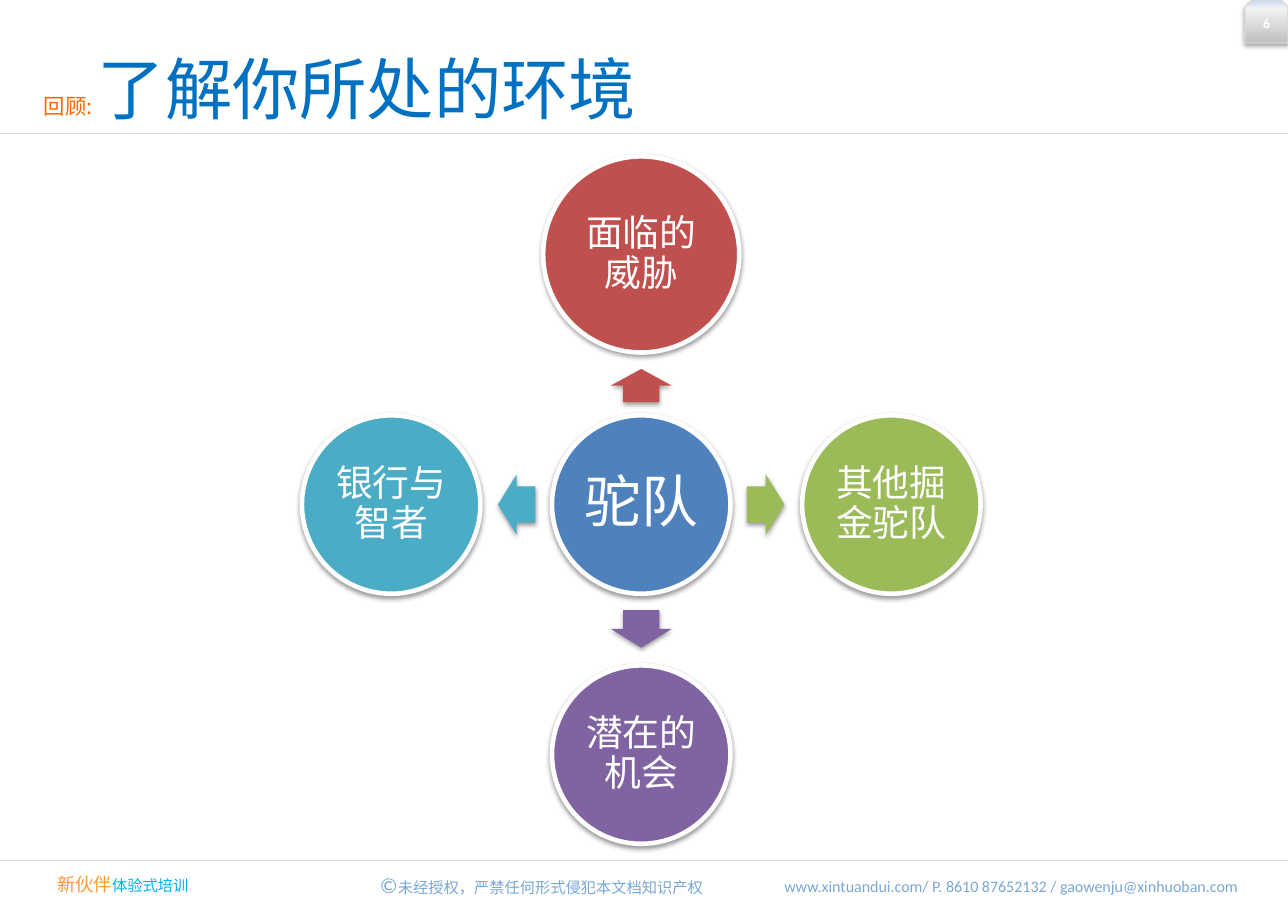
from lxml import etree
from pptx import Presentation
from pptx.dml.color import RGBColor
from pptx.enum.shapes import MSO_CONNECTOR, MSO_SHAPE
from pptx.enum.text import MSO_ANCHOR, PP_ALIGN
from pptx.oxml import parse_xml
from pptx.oxml.ns import nsdecls, qn
from pptx.util import Inches, Pt

WHITE = RGBColor(0xFF, 0xFF, 0xFF)
BLUE = RGBColor(0x4F, 0x81, 0xBD)
RED = RGBColor(0xC0, 0x50, 0x4D)
GREEN = RGBColor(0x9B, 0xBB, 0x59)
PURPLE = RGBColor(0x80, 0x64, 0xA2)
TEAL = RGBColor(0x4B, 0xAC, 0xC6)
RULE_GREY = RGBColor(0xD9, 0xD9, 0xD9)
TAB_DARK = RGBColor(0xBF, 0xBF, 0xBF)
TAB_LIGHT = RGBColor(0xF2, 0xF2, 0xF2)
TAB_BLUE = RGBColor(0xC6, 0xD9, 0xF1)
FOOTER_BLUE = RGBColor(0x7A, 0xA7, 0xD4)
FOOTER_ORANGE = RGBColor(0xFF, 0x99, 0x33)
FOOTER_CYAN = RGBColor(0x00, 0xB0, 0xF0)
TITLE_BLUE = RGBColor(0x00, 0x70, 0xC0)
TITLE_ORANGE = RGBColor(0xFF, 0x66, 0x00)
SANS_SC, SANS_JP, LATIN = "Noto Sans CJK SC", "Noto Sans CJK JP", "Calibri"


def add_run(paragraph, text, size, font_name, color):
    run = paragraph.add_run()
    run.text = text
    run.font.size = Pt(size)
    run.font.color.rgb = color
    run.font.name = font_name
    east_asian = etree.SubElement(run.font._element, qn("a:ea"))
    east_asian.set("typeface", font_name)
    return run


def add_shadow(shape):
    """Give the shape a soft shadow that falls straight down."""
    shape._element.spPr.append(parse_xml(
        f'<a:effectLst {nsdecls("a")}><a:outerShdw blurRad="40000" dist="20000" '
        'dir="5400000" rotWithShape="0"><a:srgbClr val="000000">'
        '<a:alpha val="38000"/></a:srgbClr></a:outerShdw></a:effectLst>'))


presentation = Presentation()
presentation.slide_width = Inches(11.69)
presentation.slide_height = Inches(8.27)
slide = presentation.slides.add_slide(presentation.slide_layouts[6])
shapes = slide.shapes

# Rules under the title and above the footer
for rule_y in (1.21, 7.81):
    rule = shapes.add_connector(
        MSO_CONNECTOR.STRAIGHT, 0, Inches(rule_y), Inches(11.69), Inches(rule_y))
    rule.line.color.rgb = RULE_GREY
    rule.line.width = Pt(0.75)
    etree.SubElement(rule._element.spPr, qn("a:effectLst"))

# Title and footer
text_boxes = [
    (0.3, 0.38, 10.31, 0.84, MSO_ANCHOR.TOP,
     [("回顾: ", 14, SANS_SC, TITLE_ORANGE),
      ("了解你所处的环境", 44, SANS_JP, TITLE_BLUE)]),
    (0.42, 7.88, 2.11, 0.37, MSO_ANCHOR.TOP,
     [("新伙伴", 12, SANS_JP, FOOTER_ORANGE),
      ("体验式培训", 10, LATIN, FOOTER_CYAN)]),
    (3.35, 7.86, 3.36, 0.34, MSO_ANCHOR.MIDDLE,
     [("©", 14, LATIN, FOOTER_BLUE),
      ("未经授权，严禁任何形式侵犯本文档知识产权", 10, LATIN, FOOTER_BLUE)]),
    (7.02, 7.87, 4.45, 0.34, MSO_ANCHOR.MIDDLE,
     [("www.xintuandui.com/ P. 8610 87652132 / gaowenju@xinhuoban.com",
       10.5, LATIN, FOOTER_BLUE)]),
]
for left, top, width, height, anchor, runs in text_boxes:
    box = shapes.add_textbox(Inches(left), Inches(top), Inches(width), Inches(height))
    box.text_frame.word_wrap = True
    box.text_frame.vertical_anchor = anchor
    for run_values in runs:
        add_run(box.text_frame.paragraphs[0], *run_values)

# Page number tab
page_tab = shapes.add_shape(
    MSO_SHAPE.SNIP_2_SAME_RECTANGLE, Inches(11.3), 0, Inches(0.39), Inches(0.39))
page_tab.fill.gradient()
page_tab.fill.gradient_angle = 90
stop_list = page_tab._element.spPr.find(qn("a:gradFill")).find(qn("a:gsLst"))
for stop in list(stop_list):
    stop_list.remove(stop)
for position, color in ((0, TAB_DARK), (80, TAB_LIGHT), (100, TAB_BLUE)):
    stop = etree.SubElement(stop_list, qn("a:gs"), pos=str(position * 1000))
    etree.SubElement(stop, qn("a:srgbClr"), val=str(color))
page_tab.line.color.rgb = RULE_GREY
page_tab.line.width = Pt(0.75)
add_shadow(page_tab)
page_tab.text_frame.vertical_anchor = MSO_ANCHOR.MIDDLE
page_number = page_tab.text_frame.paragraphs[0]
page_number.alignment = PP_ALIGN.CENTER
add_run(page_number, "6", 9, LATIN, WHITE).font.bold = True

# Hub with four circles around it
HUB_X, HUB_Y, SPOKE = 5.82, 4.58, 2.27
circles = [
    ("驼队", 0, 0, 1.62, 37, 0.05, BLUE),
    ("面临的威胁", 0, -1, 1.78, 24, 0.03, RED),
    ("其他掘金驼队", 1, 0, 1.62, 24, 0.03, GREEN),
    ("潜在的机会", 0, 1, 1.62, 24, 0.03, PURPLE),
    ("银行与智者", -1, 0, 1.62, 24, 0.03, TEAL),
]
for label, step_x, step_y, diameter, size, margin, color in circles:
    circle = shapes.add_shape(
        MSO_SHAPE.OVAL,
        Inches(HUB_X + step_x * SPOKE - diameter / 2),
        Inches(HUB_Y + step_y * SPOKE - diameter / 2),
        Inches(diameter), Inches(diameter))
    circle.fill.solid()
    circle.fill.fore_color.rgb = color
    circle.line.color.rgb = WHITE
    circle.line.width = Pt(3)
    add_shadow(circle)
    frame = circle.text_frame
    frame.word_wrap = True
    frame.vertical_anchor = MSO_ANCHOR.MIDDLE
    frame.margin_left = frame.margin_right = Inches(margin)
    frame.margin_top = frame.margin_bottom = Inches(margin)
    paragraph = frame.paragraphs[0]
    paragraph.alignment = PP_ALIGN.CENTER
    paragraph.line_spacing = 0.9
    add_run(paragraph, label, size, SANS_SC, WHITE)

# Arrows from the hub: direction, rotation, distance from the hub, length
ARROW_WIDTH = 0.55
arrows = [
    (0, -1, 270, 1.08, 0.3, RED),
    (1, 0, 0, 1.13, 0.34, GREEN),
    (0, 1, 90, 1.13, 0.34, PURPLE),
    (-1, 0, 180, 1.13, 0.34, TEAL),
]
for step_x, step_y, rotation, distance, length, color in arrows:
    arrow = shapes.add_shape(
        MSO_SHAPE.RIGHT_ARROW,
        Inches(HUB_X + step_x * distance - length / 2),
        Inches(HUB_Y + step_y * distance - ARROW_WIDTH / 2),
        Inches(length), Inches(ARROW_WIDTH))
    arrow.rotation = rotation
    arrow.adjustments[0] = 0.6
    arrow.adjustments[1] = 0.5
    arrow.fill.solid()
    arrow.fill.fore_color.rgb = color
    arrow.line.fill.background()
    add_shadow(arrow)

presentation.save("out.pptx")
